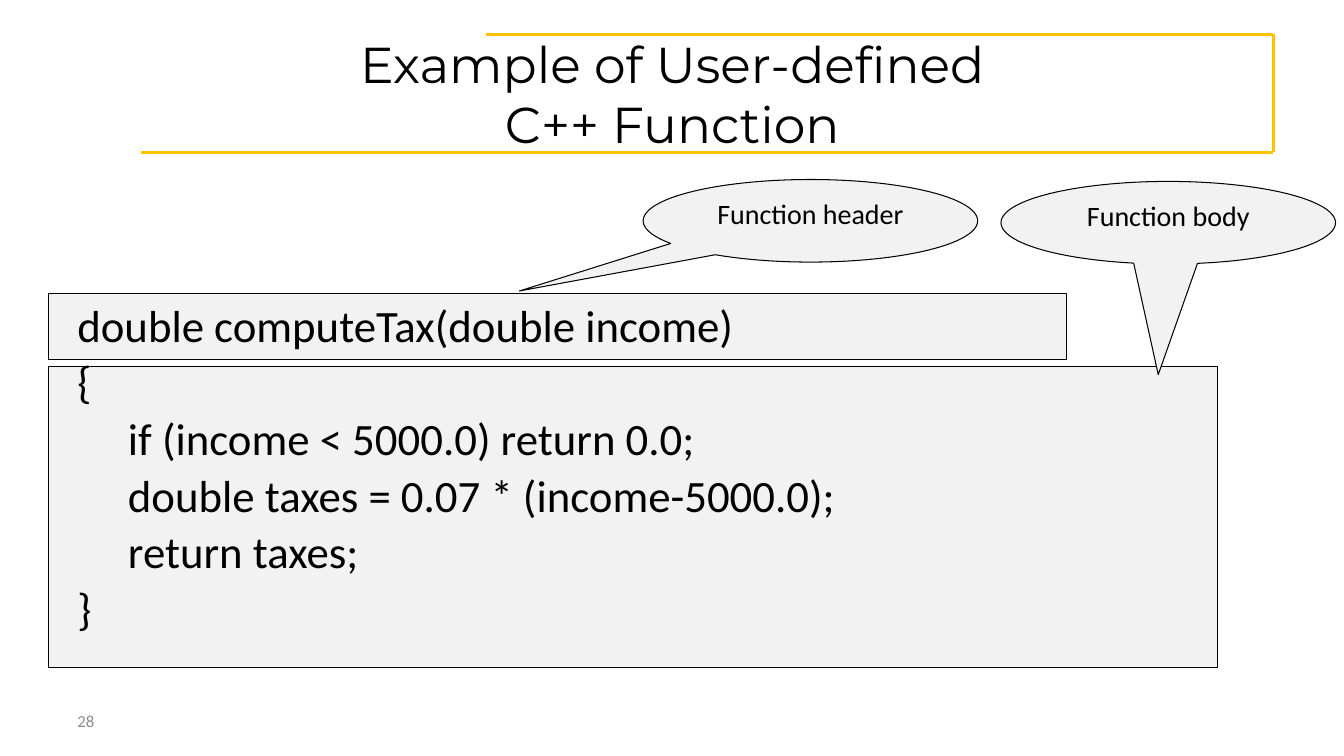
import pptx
import pptx.util
import pptx.dml.color
import pptx.enum.shapes
import pptx.enum.text
import pptx.oxml.ns
import lxml.etree

Pt = pptx.util.Pt
Align = pptx.enum.text.PP_ALIGN
Anchor = pptx.enum.text.MSO_ANCHOR
Shape = pptx.enum.shapes.MSO_SHAPE

TITLE = "Example of User-defined\vC++ Function"
CODE = [
    "double computeTax(double income)",
    "{",
    "     if (income < 5000.0) return 0.0;",
    "     double taxes = 0.07 * (income-5000.0);",
    "     return taxes;",
    "}",
]
PAGE_NUMBER = "28"
COLORS = {"text": "000000", "panel": "F2F2F2", "frame": "FFC100", "muted": "8C8C8C"}
FRAME_POINTS = [(347, 24.5), (909.4, 24.5), (909.4, 108.7), (100.8, 108.7)]
PANELS = [(34.6, 209.5, 727.2, 47.5), (34.6, 262.1, 835.2, 214.6)]
CALLOUTS = [
    ("Function header", (459.4, 128.2, 239, 59), (-0.87, 0.85)),
    ("Function body", (715, 129.6, 239, 59), (-0.03, 1.84)),
]


def color(name):
    return pptx.dml.color.RGBColor.from_string(COLORS[name])


def write(shape, text, size, font="Calibri", tint="text", align=Align.LEFT,
          anchor=Anchor.TOP, line_spacing=1.0, space_before=0):
    frame = shape.text_frame
    frame.word_wrap = True
    frame.auto_size = pptx.enum.text.MSO_AUTO_SIZE.NONE
    frame.vertical_anchor = anchor
    frame.text = text
    for index, paragraph in enumerate(frame.paragraphs):
        paragraph.alignment = align
        paragraph.line_spacing = line_spacing
        paragraph.space_before = Pt(space_before if index else 0)
        for run in paragraph.runs:
            run.font.size = Pt(size)
            run.font.name = font
            run.font.color.rgb = color(tint)


def add_panel(slide, kind, box):
    shape = slide.shapes.add_shape(kind, *map(Pt, box))
    shape.shadow.inherit = False
    shape.fill.solid()
    shape.fill.fore_color.rgb = color("panel")
    shape.line.color.rgb = color("text")
    shape.line.width = Pt(0.75)
    return shape


def add_frame_line(slide, start, end):
    line = slide.shapes.add_connector(
        pptx.enum.shapes.MSO_CONNECTOR.STRAIGHT, *map(Pt, start + end))
    line.line.color.rgb = color("frame")
    line.line.width = Pt(2)
    properties = line._element.spPr
    lxml.etree.SubElement(properties, pptx.oxml.ns.qn("a:effectLst"))


def main():
    presentation = pptx.Presentation()
    presentation.slide_width = Pt(960)
    presentation.slide_height = Pt(540)
    slide = presentation.slides.add_slide(presentation.slide_layouts[5])

    title = slide.shapes.title
    title.left, title.top, title.width, title.height = map(Pt, (48.2, 21.6, 864, 90))
    write(title, TITLE, 36, font="Montserrat", align=Align.CENTER, anchor=Anchor.MIDDLE)

    for start, end in zip(FRAME_POINTS, FRAME_POINTS[1:]):
        add_frame_line(slide, start, end)

    number = slide.shapes.add_textbox(*map(Pt, (48.2, 500.4, 224, 28.8)))
    write(number, PAGE_NUMBER, 12, tint="muted", anchor=Anchor.MIDDLE)

    for box in PANELS:
        add_panel(slide, Shape.RECTANGLE, box)

    code = slide.shapes.add_textbox(*map(Pt, (48.2, 213.4, 864, 269)))
    write(code, "\n".join(CODE), 32, line_spacing=0.9, space_before=5.8)

    for label, box, pointer in CALLOUTS:
        callout = add_panel(slide, Shape.OVAL_CALLOUT, box)
        callout.adjustments[0], callout.adjustments[1] = pointer
        write(callout, label, 20, align=Align.CENTER)

    presentation.save("out.pptx")


if __name__ == "__main__":
    main()
